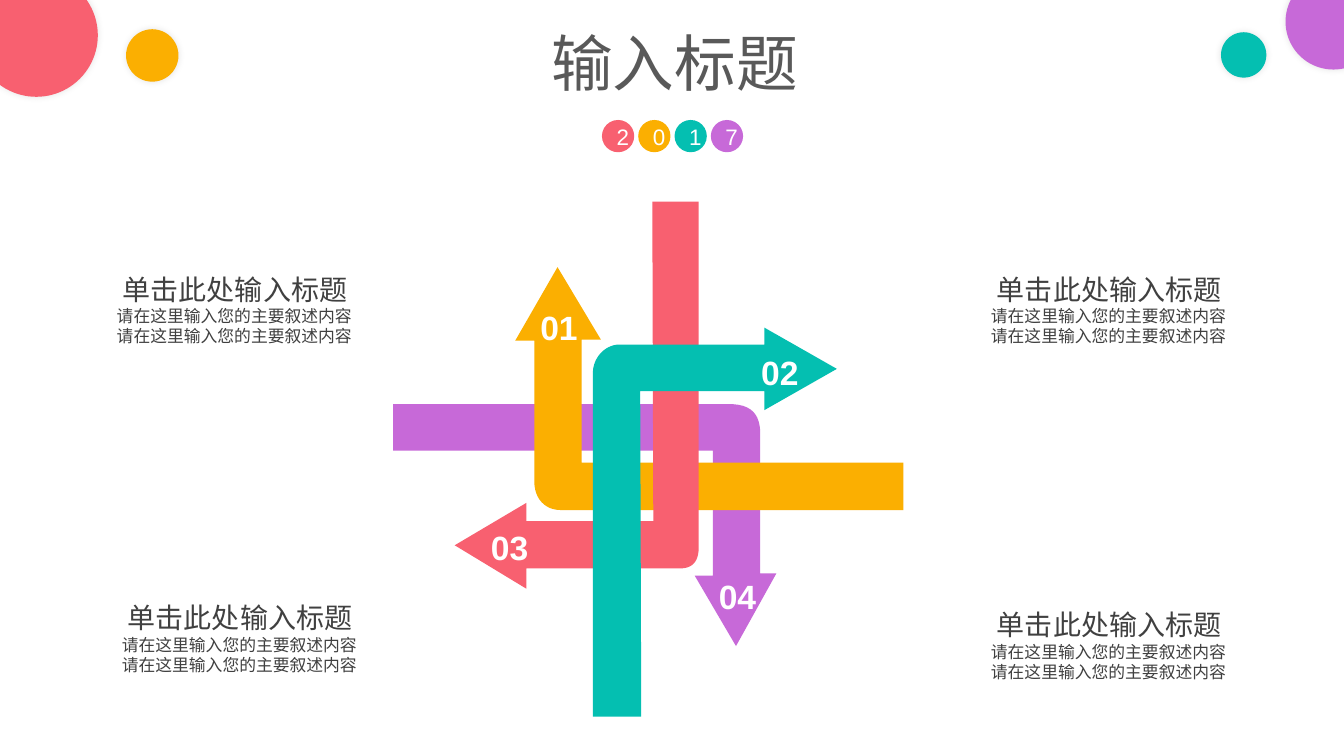
from pptx import Presentation
from pptx.dml.color import RGBColor
from pptx.enum.shapes import MSO_SHAPE as Shape
from pptx.enum.text import MSO_ANCHOR as Anchor, MSO_AUTO_SIZE as AutoSize, PP_ALIGN as Align
from pptx.oxml import parse_xml
from pptx.oxml.ns import nsdecls
from pptx.util import Inches, Pt


class Theme:
    font = "Arial"
    red, yellow, teal, purple = "F86070", "FBAF01", "04BFB1", "C769D8"
    white, title_gray, text_gray = "FFFFFF", "595959", "404040"
    title, number, heading, digit, body = 44, 24, 20, 16, 12


SOFT_SHADOW = (
    f'<a:effectLst {nsdecls("a")}><a:outerShdw blurRad="{Pt(5)}" dist="0" dir="0">'
    '<a:srgbClr val="000000"><a:alpha val="11000"/></a:srgbClr>'
    '</a:outerShdw></a:effectLst>'
)


def curve_points(start, control1, control2, end, steps=12):
    """Sample a cubic curve, leaving out its start point."""
    for step in range(1, steps + 1):
        t = step / steps
        u = 1 - t
        yield tuple(u**3 * a + 3 * u * u * t * b + 3 * u * t * t * c + t**3 * d
                    for a, b, c, d in zip(start, control1, control2, end))


class SlideBuilder:
    def __init__(self, page, theme):
        self.page = page
        self.theme = theme

    def paint(self, shape, color):
        shape.shadow.inherit = False
        shape.fill.solid()
        shape.fill.fore_color.rgb = RGBColor.from_string(color)
        shape.line.fill.background()

    def add_span(self, para, text, size, color, bold=False):
        span = para.add_run()
        span.text = text
        formats = {"name": self.theme.font, "size": Pt(size), "bold": bold}
        for name, value in formats.items():
            setattr(span.font, name, value)
        span.font.color.rgb = RGBColor.from_string(color)

    def circle(self, left, top, size, color, digit=None):
        shape = self.page.shapes.add_shape(
            Shape.OVAL, Inches(left), Inches(top), Inches(size), Inches(size))
        self.paint(shape, color)
        if digit:
            shape.text_frame.vertical_anchor = Anchor.MIDDLE
            para = shape.text_frame.paragraphs[0]
            para.alignment = Align.CENTER
            self.add_span(para, digit, self.theme.digit, self.theme.white)
        return shape

    def shadow_circle(self, left, top, size, color):
        properties = self.circle(left, top, size, color)._element.spPr
        for effects in properties.findall("{*}effectLst"):
            properties.remove(effects)
        properties.append(parse_xml(SOFT_SHADOW))

    def arrow(self, color, outline):
        """Draw an outline of points; six numbers make a curve."""
        points = [outline[0]]
        for part in outline[1:]:
            if len(part) == 6:
                points.extend(curve_points(points[-1], part[:2], part[2:4], part[4:]))
            else:
                points.append(part)
        start, *rest = [(Inches(x), Inches(y)) for x, y in points]
        builder = self.page.shapes.build_freeform(*start)
        builder.add_line_segments(rest, close=True)
        self.paint(builder.convert_to_shape(), color)

    def text_box(self, left, top, width, height, wrap):
        box = self.page.shapes.add_textbox(
            Inches(left), Inches(top), Inches(width), Inches(height))
        formats = {"word_wrap": wrap, "auto_size": AutoSize.SHAPE_TO_FIT_TEXT}
        for name, value in formats.items():
            setattr(box.text_frame, name, value)
        return box.text_frame

    def title(self, text):
        frame = self.text_box(5.37, 0.2, 2.67, 0.84, wrap=False)
        self.add_span(frame.paragraphs[0], text, self.theme.title, self.theme.title_gray)

    def number(self, left, top, text):
        para = self.text_box(left, top, 0.97, 0.5, wrap=True).paragraphs[0]
        para.alignment = Align.CENTER
        self.add_span(para, text, self.theme.number, self.theme.white, bold=True)

    def caption(self, left, top, heading, lines):
        frame = self.text_box(left, top, 2.56, 1.38, wrap=False)
        para = frame.paragraphs[0]
        para._p.get_or_add_pPr().set("marL", str(Inches(0.06)))
        self.add_span(para, heading, self.theme.heading, self.theme.text_gray)
        for line in lines:
            self.add_span(frame.add_paragraph(), line, self.theme.body, self.theme.text_gray)


def main():
    deck = Presentation()
    deck.slide_width, deck.slide_height = Inches(13.33), Inches(7.5)
    theme = Theme()
    slide = SlideBuilder(deck.slides.add_slide(deck.slide_layouts[6]), theme)

    # Year in a row of circles
    year_colors = (theme.red, theme.yellow, theme.teal, theme.purple)
    for index, (digit, color) in enumerate(zip("2017", year_colors)):
        slide.circle(5.97 + 0.36 * index, 1.19, 0.32, color, digit)

    # Corner circles
    for left, top, size, color in (
        (12.75, -0.26, 0.95, theme.purple),
        (12.11, 0.32, 0.45, theme.teal),
        (-0.25, -0.26, 1.22, theme.red),
        (1.25, 0.29, 0.52, theme.yellow),
    ):
        slide.shadow_circle(left, top, size, color)

    slide.title("输入标题")

    # Interlaced arrows, from back to front
    slide.arrow(theme.purple, [
        (3.9, 4.47), (3.9, 4.01), (7.21, 4.01), (7.48, 4, 7.53, 4.14, 7.54, 4.27),
        (7.54, 5.69), (7.7, 5.69), (7.3, 6.41), (6.89, 5.71), (7.07, 5.71), (7.07, 4.47)])
    slide.arrow(theme.yellow, [
        (8.96, 4.59), (8.96, 5.06), (5.56, 5.06), (5.4, 5.06, 5.3, 4.94, 5.3, 4.78),
        (5.3, 3.38), (5.11, 3.38), (5.53, 2.65), (5.96, 3.37), (5.77, 3.37), (5.77, 4.59)])
    slide.arrow(theme.red, [
        (6.47, 2), (6.93, 2), (6.93, 5.43), (6.93, 5.58, 6.86, 5.64, 6.74, 5.64),
        (5.22, 5.64), (5.22, 5.84), (4.51, 5.41), (5.22, 4.99), (5.22, 5.17), (6.48, 5.17)])
    slide.arrow(theme.teal, [
        (6.36, 7.11), (5.88, 7.11), (5.88, 3.69), (5.89, 3.53, 6.01, 3.43, 6.12, 3.42),
        (7.58, 3.42), (7.58, 3.25), (8.3, 3.66), (7.58, 4.07), (7.58, 3.88), (6.35, 3.88)])

    # Arrow numbers
    number_places = ((5.06, 3), (7.25, 3.44), (4.57, 5.18), (6.83, 5.66))
    for index, (left, top) in enumerate(number_places, start=1):
        slide.number(left, top, f"{index:02}")

    # Captions
    for left, top in ((9.73, 5.98), (1.06, 2.65), (1.11, 5.91), (9.73, 2.65)):
        slide.caption(left, top, "单击此处输入标题", ["请在这里输入您的主要叙述内容"] * 2)

    deck.save("out.pptx")


if __name__ == "__main__":
    main()
